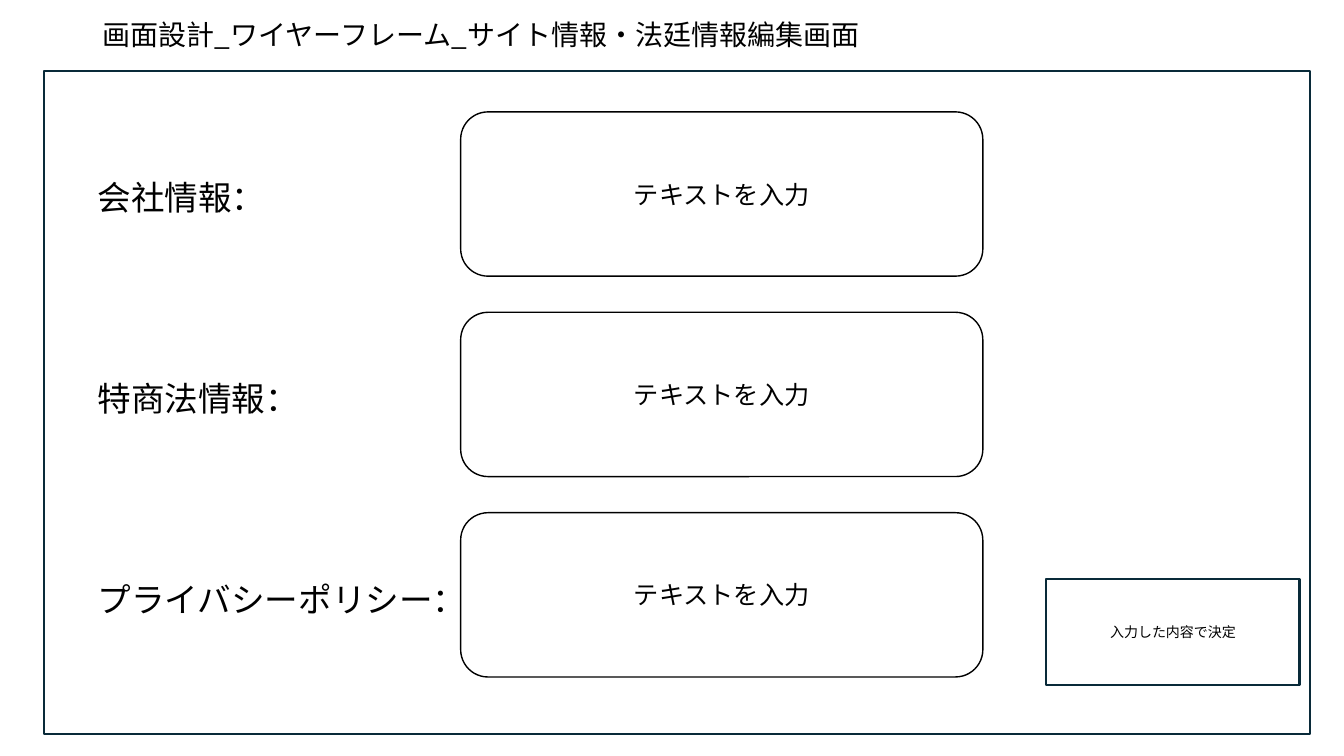
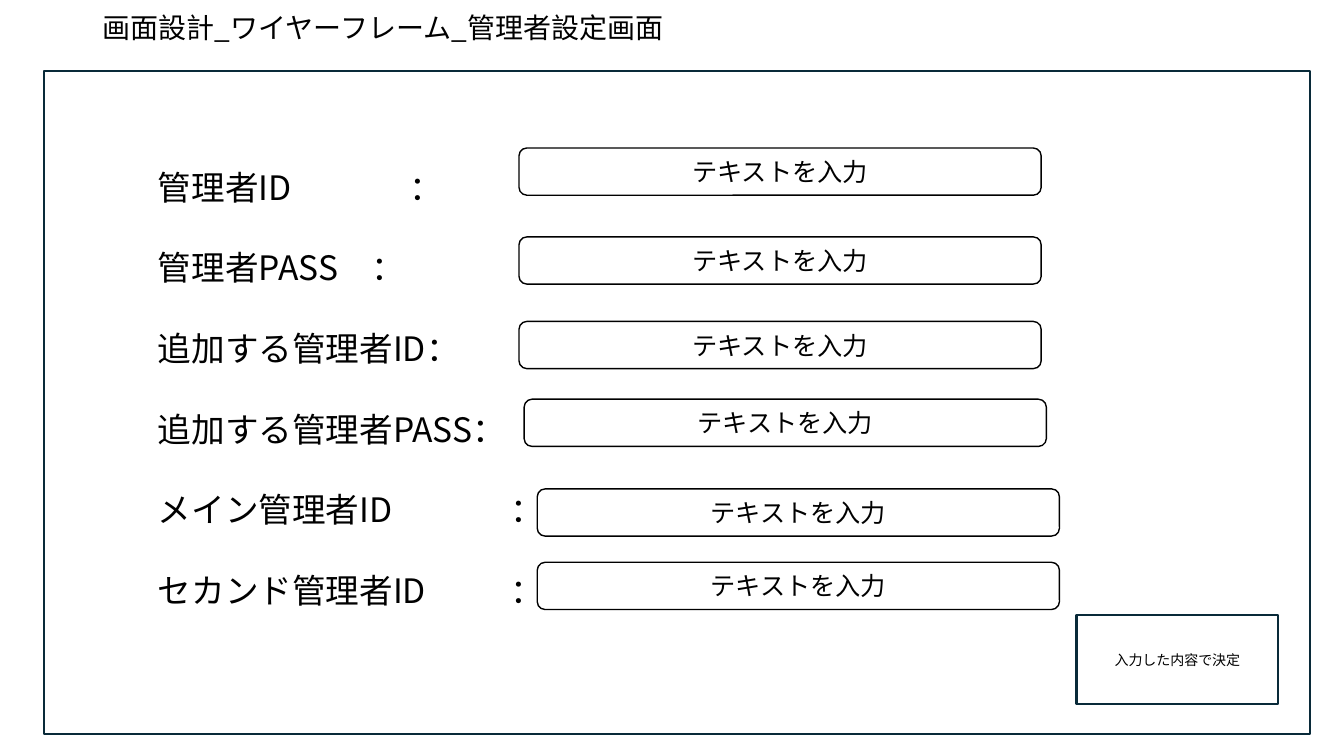
from lxml import etree
from pptx import Presentation
from pptx.dml.color import RGBColor
from pptx.enum import shapes, text
from pptx.oxml import ns
from pptx.util import Cm, Pt

# Shared style
COLORS = {"paper": "FFFFFF", "ink": "000000", "frame": "092A39"}
FONT = "Noto Sans CJK JP"
FRAME = (1.12, 1.78, 31.9, 16.71)
FIELD_W = 13.16
FIELD_TEXT = "テキストを入力"
BUTTON_TEXT = "入力した内容で決定"
LABEL_LINE = 29  # points


def color(name):
    return RGBColor.from_string(COLORS[name])


def add_run(p, content, size):
    r = p.add_run()
    r.text = content
    r.font.size = Pt(size)
    r.font.name = FONT
    r.font.color.rgb = color("ink")
    ea = etree.SubElement(r.font._element, ns.qn("a:ea"))
    ea.set("typeface", FONT)


def add_tab_stop(p, position):
    tabs = etree.SubElement(p._p.get_or_add_pPr(), ns.qn("a:tabLst"))
    etree.SubElement(tabs, ns.qn("a:tab"), pos=str(Cm(position)), algn="l")


def add_text_frame(slide, left, top, width, height):
    sp = slide.shapes.add_textbox(Cm(left), Cm(top), Cm(width), Cm(height))
    tf = sp.text_frame
    tf.word_wrap = True
    tf.auto_size = text.MSO_AUTO_SIZE.NONE
    return tf


def add_title(slide, title, width, height):
    tf = add_text_frame(slide, 2.34, 0.58, width, height)
    tf.vertical_anchor = text.MSO_ANCHOR.MIDDLE
    p = tf.paragraphs[0]
    p.line_spacing = 0.9
    add_run(p, title, 20)


def add_labels(slide, box, labels, pitch):
    """One paragraph per (label, tab stop), spaced by pitch in points."""
    tf = add_text_frame(slide, *box)
    for i, (label, stop) in enumerate(labels):
        p = tf.add_paragraph() if i else tf.paragraphs[0]
        p.line_spacing = Pt(LABEL_LINE)
        p.space_before = Pt(pitch - LABEL_LINE if i else 0)
        if stop:
            add_tab_stop(p, stop)
        add_run(p, label, 24)


def add_box(slide, kind, box, line, weight, content="", size=18):
    sp = slide.shapes.add_shape(kind, *map(Cm, box))
    sp.shadow.inherit = False
    sp.fill.background()
    sp.line.color.rgb = color(line)
    sp.line.width = Pt(weight)
    if content:
        tf = sp.text_frame
        tf.word_wrap = True
        tf.vertical_anchor = text.MSO_ANCHOR.MIDDLE
        p = tf.paragraphs[0]
        p.alignment = text.PP_ALIGN.CENTER
        add_run(p, content, size)


def add_field(slide, left, top, height):
    add_box(slide, shapes.MSO_SHAPE.ROUNDED_RECTANGLE,
            (left, top, FIELD_W, height), "ink", 1, FIELD_TEXT)


def add_button(slide, *box):
    add_box(slide, shapes.MSO_SHAPE.RECTANGLE, box, "frame", 1.5, BUTTON_TEXT, 10)


def add_screen(prs, title, title_width, title_height):
    slide = prs.slides.add_slide(prs.slide_layouts[6])
    slide.background.fill.solid()
    slide.background.fill.fore_color.rgb = color("paper")
    add_title(slide, title, title_width, title_height)
    add_box(slide, shapes.MSO_SHAPE.RECTANGLE, FRAME, "frame", 1.5)
    return slide


def build_site_info(prs):
    slide = add_screen(prs, "画面設計_ワイヤーフレーム_サイト情報・法廷情報編集画面", 19.79, 0.66)
    labels = [("会社情報：", None), ("特商法情報：", None), ("プライバシーポリシー：", None)]
    add_labels(slide, (2.21, 4.32, 10, 11.53), labels, 143.6)
    for i in range(len(labels)):
        add_field(slide, 11.61, 2.82 + i * 5.05, 4.14)
    add_button(slide, 26.37, 14.58, 6.38, 2.69)


def build_admin_settings(prs):
    slide = add_screen(prs, "画面設計_ワイヤーフレーム_管理者設定画面", 17.32, 0.33)
    labels = [
        ("管理者ID\t：", 6.35),
        ("管理者PASS　：", None),
        ("追加する管理者ID：", None),
        ("追加する管理者PASS：", None),
        ("メイン管理者ID\t：", 8.89),
        ("セカンド管理者ID\t：", 8.89),
    ]
    add_labels(slide, (3.73, 4.07, 29.29, 12.32), labels, 57.6)
    fields = [(13.08, 3.73), (13.08, 5.97), (13.08, 8.1),
              (13.21, 10.06), (13.54, 12.32), (13.54, 14.17)]
    for left, top in fields:
        add_field(slide, left, top, 1.19)
    add_button(slide, 27.13, 15.49, 5.08, 2.26)


def main():
    prs = Presentation()
    prs.slide_width, prs.slide_height = Cm(33.87), Cm(19.05)
    build_site_info(prs)
    build_admin_settings(prs)
    prs.save("out.pptx")


if __name__ == "__main__":
    main()
